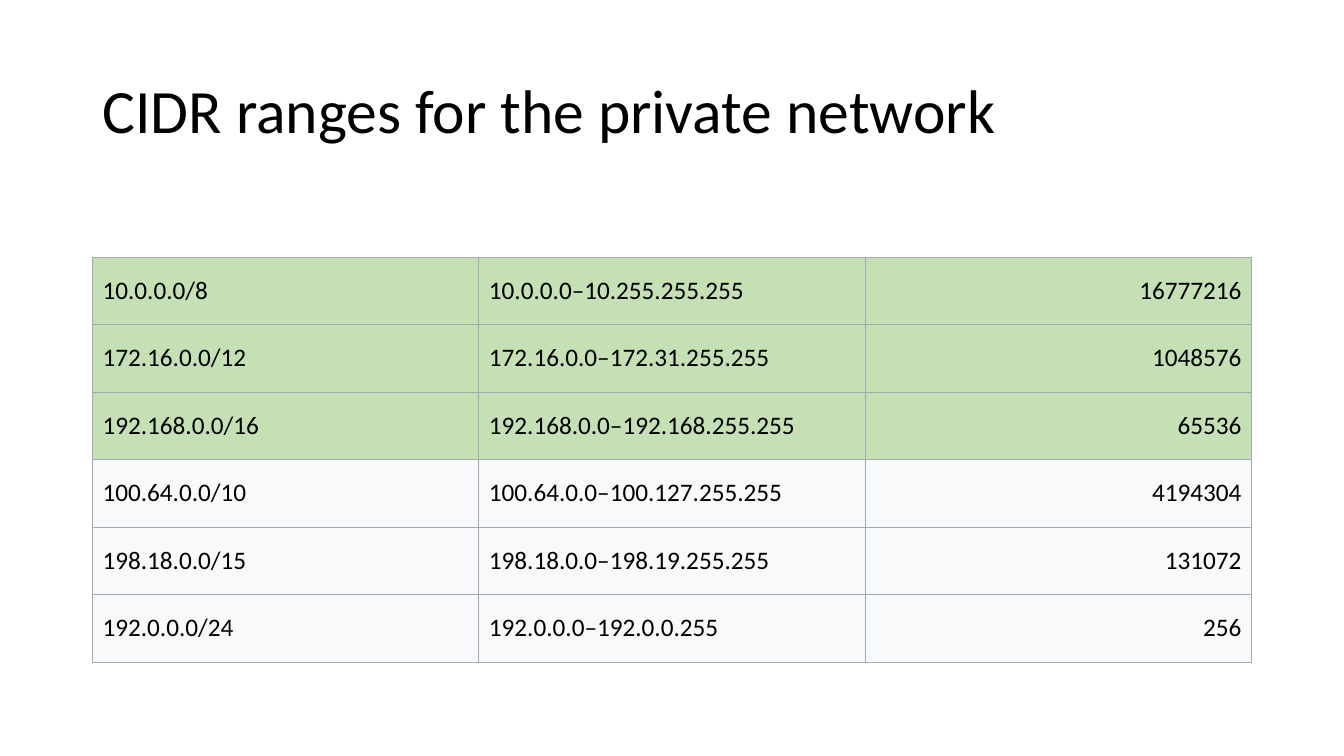
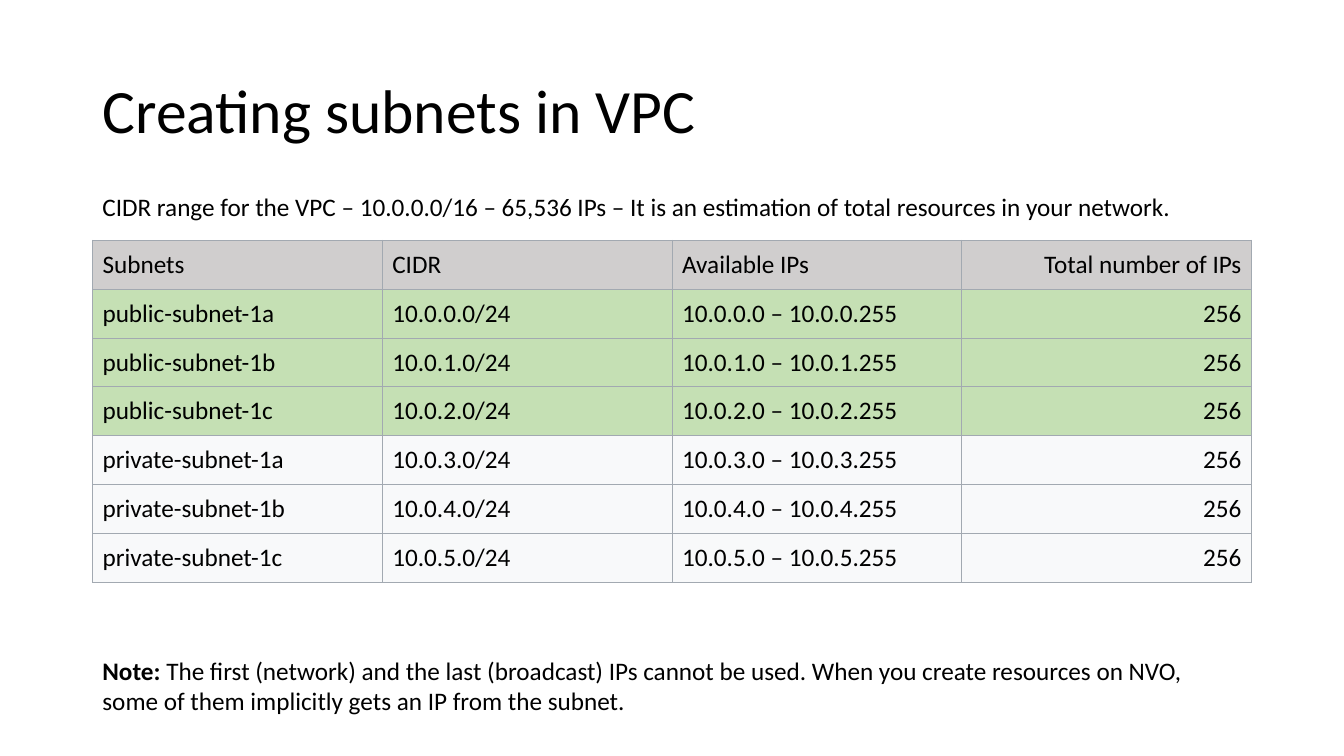
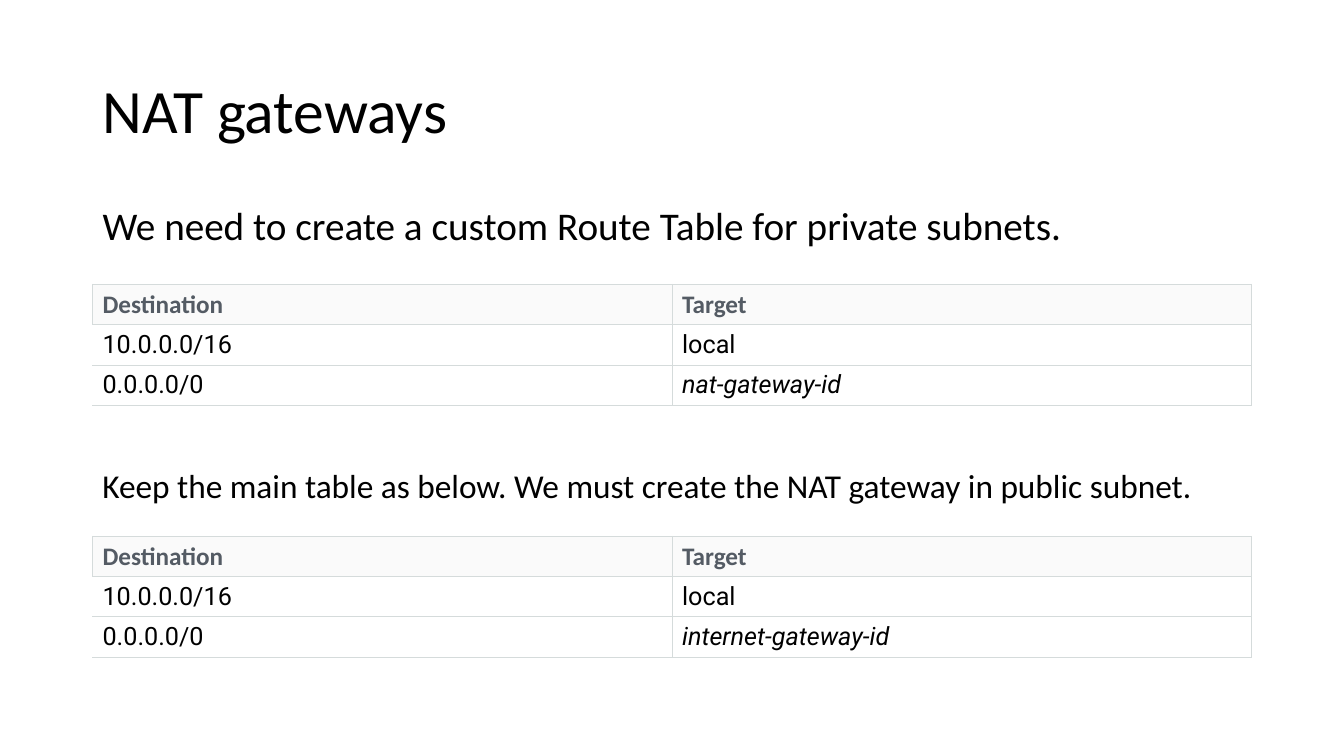
from pptx import Presentation, util as u
from pptx.dml.color import RGBColor
from pptx.enum import text as t
from pptx.oxml import parse_xml
from pptx.oxml.ns import nsdecls


class Theme:
    font, alt = "Calibri", "Roboto"
    ink, slate = "000000", "545B64"
    green, pale, grey, head, white = "C5E0B4", "F8F9FA", "D0CECE", "FAFAFA", "FFFFFF"
    rule, mist = "A2A9B1", "D5DBDB"
    big, lead, sub, base = 44, 28, 23.8, 18


deck = Presentation()
deck.slide_width, deck.slide_height = u.Inches(13.333), u.Inches(7.5)
W, H = deck.slide_width, deck.slide_height
LEFT, WIDE = int(W * 0.0688), int(W * 0.8625)


def style(frame, size, color=Theme.ink, font=Theme.font, bold=False):
    for run in frame.paragraphs[0].runs:
        run.font.size, run.font.name, run.font.bold = u.Pt(size), font, bold
        run.font.color.rgb = RGBColor.from_string(color)


def grid(slide, top, high, rows, fills, line, ragged=False):
    count = len(rows[0])
    frame = slide.shapes.add_table(len(rows), count, LEFT, int(H * top), WIDE, int(H * high))
    table = frame.table
    table.first_row = table.horz_banding = False
    for r, row in enumerate(rows):
        for c, word in enumerate(row):
            cell = table.cell(r, c)
            cell.text = word
            cell.vertical_anchor = t.MSO_ANCHOR.MIDDLE
            style(cell.text_frame, Theme.base)
            for side in "LRTB":
                bare = ragged and side == "L" and c == 0 and r > 0
                paint = "<a:noFill/>" if bare else f'<a:solidFill><a:srgbClr val="{line}"/></a:solidFill>'
                cell._tc.get_or_add_tcPr().append(parse_xml(
                    f'<a:ln{side} {nsdecls("a")} w="{u.Pt(0.75)}">{paint}</a:ln{side}>'))
            cell.fill.solid()
            cell.fill.fore_color.rgb = RGBColor.from_string(fills[r])
    return table


pages = []
for name, kind in (("CIDR ranges for the private network", 5),
                   ("Creating subnets in VPC", 5),
                   ("NAT gateways", 1)):
    page = deck.slides.add_slide(deck.slide_layouts[kind])
    title = page.shapes.title
    title.left, title.top, title.width, title.height = LEFT, int(H * 0.0533), WIDE, int(H * 0.1933)
    frame = title.text_frame
    frame.text = name
    frame.auto_size = t.MSO_AUTO_SIZE.NONE
    frame.vertical_anchor = t.MSO_ANCHOR.MIDDLE
    frame.paragraphs[0].alignment = t.PP_ALIGN.LEFT
    frame.paragraphs[0].line_spacing = 0.9
    style(frame, Theme.big)
    pages.append(page)
cidr, subnet, nat = pages

blocks = [
    ("10.0.0.0/8", "10.0.0.0–10.255.255.255", "16777216"),
    ("172.16.0.0/12", "172.16.0.0–172.31.255.255", "1048576"),
    ("192.168.0.0/16", "192.168.0.0–192.168.255.255", "65536"),
    ("100.64.0.0/10", "100.64.0.0–100.127.255.255", "4194304"),
    ("198.18.0.0/15", "198.18.0.0–198.19.255.255", "131072"),
    ("192.0.0.0/24", "192.0.0.0–192.0.0.255", "256"),
]
nets = [("Subnets", "CIDR", "Available IPs", "Total number of IPs")]
for i in range(6):
    zone = ("public", "private")[i // 3]
    nets.append((f"{zone}-subnet-1{'abc'[i % 3]}", f"10.0.{i}.0/24",
                 f"10.0.{i}.0 – 10.0.{i}.255", "256"))

tints = [Theme.green] * 3 + [Theme.pale] * 3
for page, top, high, rows, fills in ((cidr, 0.34, 0.536, blocks, tints),
                                     (subnet, 0.318, 0.452, nets, [Theme.grey] + tints)):
    table = grid(page, top, high, rows, fills, Theme.rule)
    for row in table.rows:
        row.cells[len(rows[0]) - 1].text_frame.paragraphs[0].alignment = t.PP_ALIGN.RIGHT

for page, top, high, size, words in (
    (subnet, 0.2467, 0.0533, Theme.base,
     ["CIDR range for the VPC – 10.0.0.0/16 – 65,536 IPs – It is an estimation of total resources in your network."]),
    (subnet, 0.86, 0.0947, Theme.base,
     ["Note: ", "The first (network) and the last (broadcast) IPs cannot be used. When you create resources on NVO, "
      "some of them implicitly gets an IP from the subnet."]),
    (nat, 0.6187, 0.0893, Theme.sub,
     ["Keep the main table as below. We must create the NAT gateway in public subnet."]),
):
    box = page.shapes.add_textbox(LEFT, int(H * top), int(W * 0.876) if page is nat else WIDE, int(H * high))
    frame = box.text_frame
    frame.word_wrap = True
    para = frame.paragraphs[0]
    for word in words:
        para.add_run().text = word
    style(frame, size)
    para.runs[0].font.bold = len(words) > 1
    if page is nat:
        para.line_spacing, para.space_before = 0.8, u.Pt(10)

body = nat.placeholders[1]
body.left, body.top, body.width, body.height = LEFT, int(H * 0.2667), int(W * 0.876), int(H * 0.0893)
frame = body.text_frame
frame.text = "We need to create a custom Route Table for private subnets."
frame.auto_size = t.MSO_AUTO_SIZE.NONE
para = frame.paragraphs[0]
para.line_spacing, para.space_before = 0.9, u.Pt(10)
props = para._p.get_or_add_pPr()
props.set("marL", "0")
props.set("indent", "0")
props.append(parse_xml(f'<a:buNone {nsdecls("a")}/>'))
style(frame, Theme.lead)

for top, target in ((0.376, "nat-gateway-id"), (0.7093, "internet-gateway-id")):
    routes = [("Destination", "Target"), ("10.0.0.0/16", "local"), ("0.0.0.0/0", target)]
    table = grid(nat, top, 0.16, routes, [Theme.head] + [Theme.white] * 2, Theme.mist, ragged=True)
    for r, row in enumerate(table.rows):
        for cell in row.cells:
            if r == 0:
                style(cell.text_frame, Theme.base, Theme.slate, bold=True)
            else:
                style(cell.text_frame, Theme.base, font=Theme.alt)
    table.cell(2, 1).text_frame.paragraphs[0].runs[0].font.italic = True

deck.save("out.pptx")
